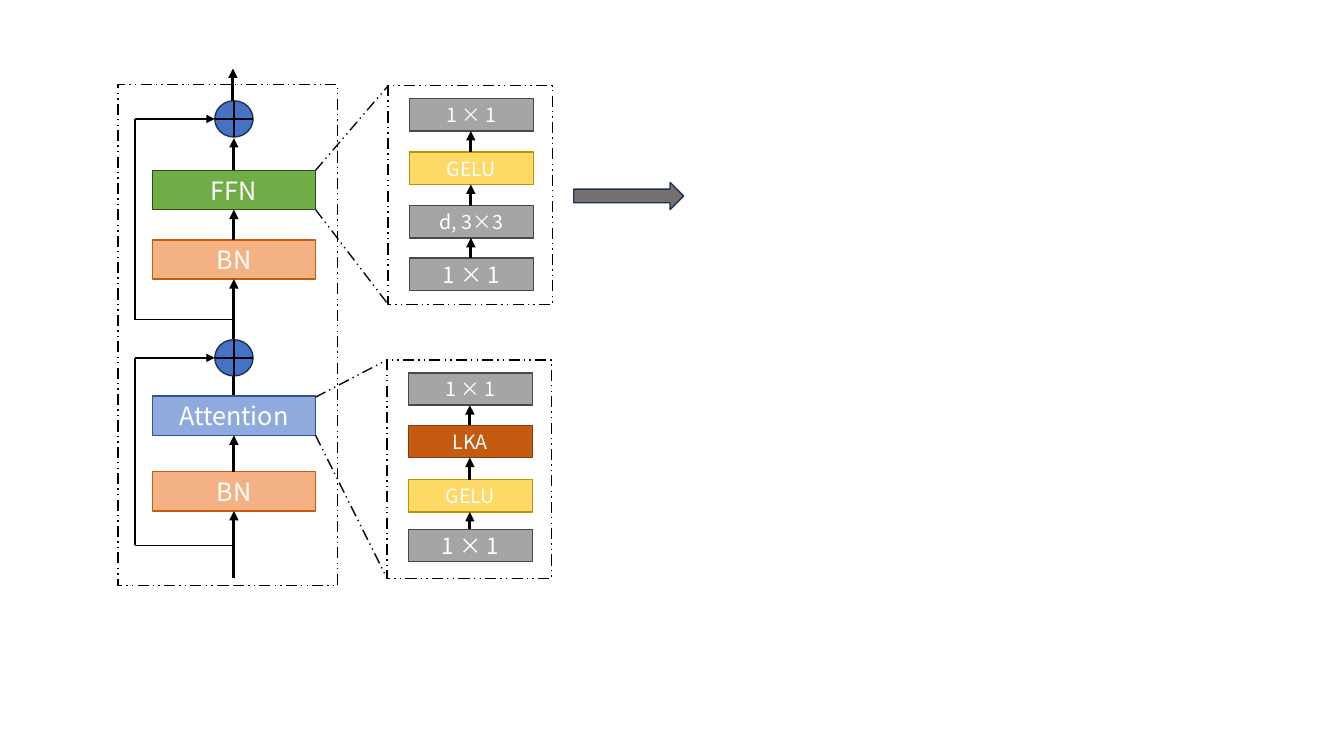
from lxml.etree import SubElement
from pptx import Presentation
from pptx.dml.color import RGBColor
from pptx.enum.dml import MSO_LINE
from pptx.enum.shapes import MSO_CONNECTOR, MSO_SHAPE
from pptx.enum.text import MSO_ANCHOR, PP_ALIGN
from pptx.oxml.ns import qn
from pptx.util import Pt

SCALE = 9144
FONT = "Noto Sans CJK SC"
DASH = MSO_LINE.DASH_DOT_DOT
WHITE = RGBColor(0xFF, 0xFF, 0xFF)
BLACK = RGBColor(0x00, 0x00, 0x00)
DARK = RGBColor(0x0D, 0x0D, 0x0D)
NAVY = RGBColor(0x1E, 0x32, 0x56)
BLUE = RGBColor(0x44, 0x72, 0xC4)
STONE = RGBColor(0x76, 0x71, 0x71)
GREEN = (RGBColor(0x70, 0xAD, 0x47), RGBColor(0x31, 0x4C, 0x1F))
PEACH = (RGBColor(0xF4, 0xB1, 0x83), RGBColor(0xC5, 0x5A, 0x11))
SKY = (RGBColor(0x8F, 0xAA, 0xDC), RGBColor(0x2F, 0x55, 0x97))
GREY = (RGBColor(0xA5, 0xA5, 0xA5), RGBColor(0x48, 0x48, 0x48))
GOLD = (RGBColor(0xFF, 0xD9, 0x66), RGBColor(0xBF, 0x90, 0x00))
RUST = (RGBColor(0xC5, 0x5A, 0x11), RGBColor(0x84, 0x3C, 0x0B))


def px(*values):
    return [value * SCALE for value in values]


def label(shape, text, size=14, color=WHITE, align=PP_ALIGN.CENTER):
    frame = shape.text_frame
    frame.word_wrap = True
    frame.vertical_anchor = MSO_ANCHOR.MIDDLE
    frame.margin_top = frame.margin_bottom = 0
    line = frame.paragraphs[0]
    line.alignment = align
    run = line.add_run()
    run.text = text
    run.font.size = Pt(size)
    run.font.name = FONT
    run.font.color.rgb = color
    SubElement(run.font._element, qn("a:ea"), typeface=FONT)


def block(slide, box, fill=None, edge=BLACK, kind=MSO_SHAPE.RECTANGLE):
    shape = slide.shapes.add_shape(kind, *px(*box))
    shape.shadow.inherit = False
    shape.line.color.rgb = edge
    shape.line.width = Pt(1)
    if fill is None:
        shape.fill.background()
        shape.line.dash_style = DASH
    else:
        shape.fill.solid()
        shape.fill.fore_color.rgb = fill
    return shape


def line(slide, start, end, width=1, color=BLACK, head=False, dash=None):
    link = slide.shapes.add_connector(MSO_CONNECTOR.STRAIGHT, *px(*start, *end))
    link.line.color.rgb = color
    link.line.width = Pt(width)
    if dash:
        link.line.dash_style = dash
    frame = link._element.spPr
    if head:
        SubElement(frame.find(qn("a:ln")), qn("a:tailEnd"), type="triangle")
    SubElement(frame, qn("a:effectLst"))


def arrow(slide, x, start, end):
    line(slide, (x, start), (x, end), width=2.25, head=True)


def add_sign(slide, box):
    x, y, w, h = box
    block(slide, box, BLUE, NAVY, MSO_SHAPE.OVAL)
    line(slide, (x, y + h // 2), (x + w, y + h // 2))
    line(slide, (x + w // 2, y), (x + w // 2, y + h))


def stage(slide, box, name, paint, core, norm, tap):
    x, y, w, h = box
    mid, side = x + 115, x + 17
    for text, top, (fill, edge) in ((name, core, paint), ("BN", norm, PEACH)):
        label(block(slide, (x + 34, y + top, 162, 39), fill, edge), text, size=18)
    arrow(slide, mid, y + h, y + norm + 39)
    arrow(slide, mid, y + norm, y + core + 39)
    add_sign(slide, (mid - 19, y, 38, 36))
    line(slide, (mid, y + tap), (side, y + tap))
    line(slide, (side, y + tap), (side, y + 18))
    line(slide, (side, y + 18), (mid - 19, y + 18), width=1.5, head=True)


def main_block(slide, box):
    x, y, w, h = box
    block(slide, box)
    stage(slide, (x, y + 16, w, 293), "FFN", GREEN, core=69, norm=138, tap=217)
    stage(slide, (x, y + 253, w, 236), "Attention", SKY, core=56, norm=131, tap=204)
    arrow(slide, x + 115, y + 85, y + 53)
    arrow(slide, x + 114, y + 16, y - 16)


def detail(slide, box, rows, source):
    x, y, w, h = box
    block(slide, box)
    below = None
    for text, (fill, edge), size, top in reversed(rows):
        label(block(slide, (x + 21, y + top, 123, 32), fill, edge), text, size=size)
        if below is not None:
            arrow(slide, x + 82, y + below, y + top + 32)
        below = top
    right, top, bottom = source
    for start, end in ((top, y), (bottom, y + h)):
        line(slide, (right, start), (x, end), color=DARK, dash=DASH)


def main():
    deck = Presentation()
    deck.slide_width, deck.slide_height = px(1333, 750)
    slide = deck.slides.add_slide(deck.slide_layouts[6])
    main_block(slide, (117, 84, 218, 497))
    detail(slide, (385, 85, 163, 217), [
        ("1 × 1", GREY, 14, 13),
        ("GELU", GOLD, 14, 66),
        ("d, 3×3", GREY, 14, 119),
        ("1 × 1", GREY, 16, 171),
    ], source=(313, 169, 208))
    detail(slide, (384, 357, 163, 217), [
        ("1 × 1", GREY, 14, 13),
        ("LKA", RUST, 14, 65),
        ("GELU", GOLD, 14, 119),
        ("1 × 1", GREY, 16, 168),
    ], source=(313, 394, 432))
    block(slide, (569, 181, 109, 27), STONE, NAVY, MSO_SHAPE.RIGHT_ARROW)
    deck.save("out.pptx")


if __name__ == "__main__":
    main()
